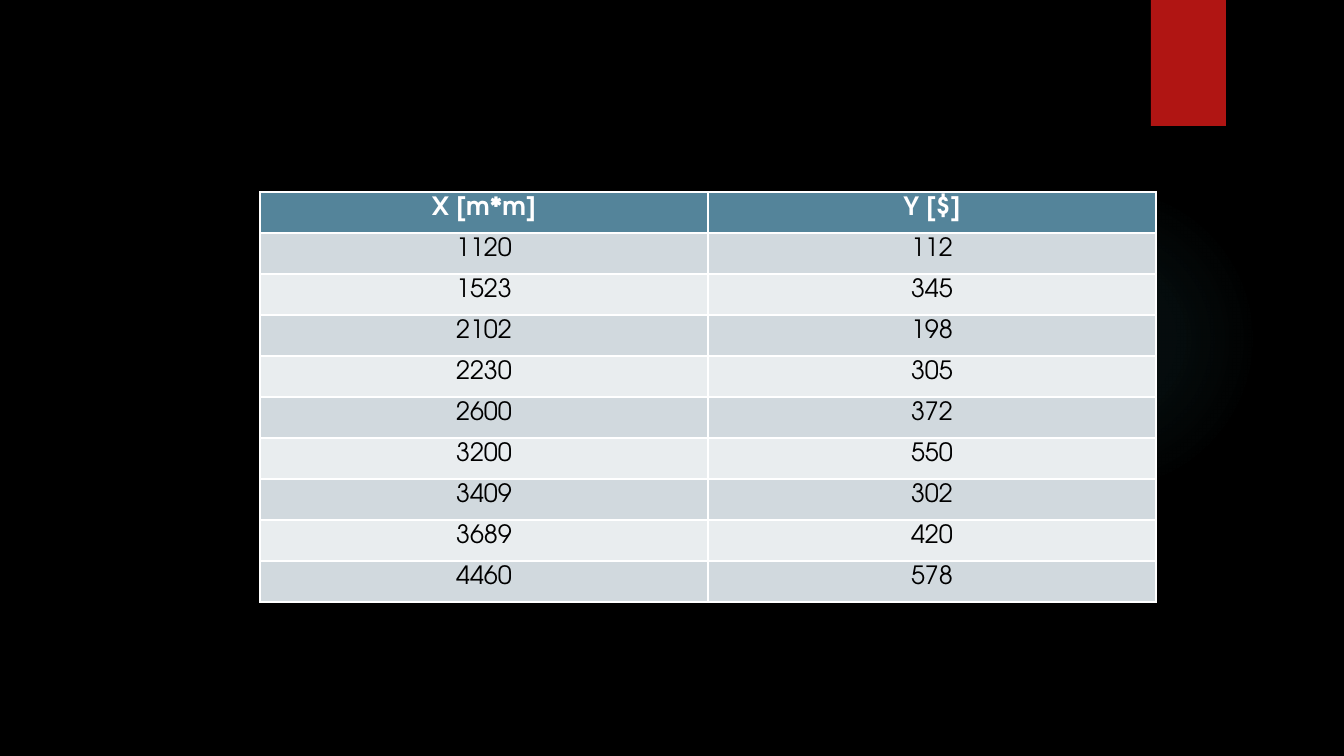
from lxml.etree import SubElement
from pptx import Presentation
from pptx.dml.color import RGBColor
from pptx.enum.shapes import MSO_SHAPE
from pptx.enum.text import MSO_ANCHOR, PP_ALIGN
from pptx.oxml.ns import qn
from pptx.util import Emu, Pt

EMU_PER_PX = 914400 / 100.8
FONT = "TeX Gyre Adventor"
BLACK, WHITE, RED, GLOW = "000000", "FFFFFF", "B01513", "50B9C1"
HEADER_FILL, BAND_FILLS = "54849A", ("D1D9DE", "E9EDEF")
GLOW_STOPS = ((0, 7), (36, 6), (69, 0))  # position %, opacity %

HEADINGS = ("X [m*m]", "Y [$]")
POINTS = (
    (1120, 112), (1523, 345), (2102, 198), (2230, 305), (2600, 372),
    (3200, 550), (3409, 302), (3689, 420), (4460, 578),
)


def px(length):
    return Emu(round(length * EMU_PER_PX))


def color(hex_value):
    return RGBColor.from_string(hex_value)


def apply(target, formats):
    for name, value in formats.items():
        setattr(target, name, value)


def add_plain_shape(slide, preset, box):
    shape = slide.shapes.add_shape(preset, *map(px, box))
    shape.shadow.inherit = False
    shape.line.fill.background()
    return shape


# Background glow and red tab
def add_glow(slide, box):
    glow = add_plain_shape(slide, MSO_SHAPE.OVAL, box)
    glow.fill.gradient()
    gradient = glow.fill._xPr.find(qn("a:gradFill"))
    for child in list(gradient):
        gradient.remove(child)
    stops = SubElement(gradient, qn("a:gsLst"))
    for position, opacity in GLOW_STOPS:
        stop = SubElement(stops, qn("a:gs"), pos=str(position * 1000))
        tint = SubElement(stop, qn("a:srgbClr"), val=GLOW)
        SubElement(tint, qn("a:alpha"), val=str(opacity * 1000))
    circle = SubElement(gradient, qn("a:path"), path="circle")
    center = dict.fromkeys("ltrb", "50000")
    SubElement(circle, qn("a:fillToRect"), **center)


def add_tab(slide, box):
    tab = add_plain_shape(slide, MSO_SHAPE.RECTANGLE, box)
    tab.fill.solid()
    tab.fill.fore_color.rgb = color(RED)


# Table of X and Y values; its white rules come from the table style
def format_cell(cell, row):
    is_header = row == 0
    cell.fill.solid()
    fill = HEADER_FILL if is_header else BAND_FILLS[(row - 1) % 2]
    cell.fill.fore_color.rgb = color(fill)
    apply(cell, {"margin_top": px(5), "margin_bottom": px(5),
                 "vertical_anchor": MSO_ANCHOR.TOP})
    paragraph = cell.text_frame.paragraphs[0]
    paragraph.alignment = PP_ALIGN.CENTER
    font = paragraph.runs[0].font
    apply(font, {"name": FONT, "size": Pt(18), "bold": is_header})
    font.color.rgb = color(WHITE if is_header else BLACK)


def add_value_table(slide, box):
    left, top, width, height = box
    records = (HEADINGS, *POINTS)
    table = slide.shapes.add_table(
        len(records), len(HEADINGS), *map(px, box)).table
    for column in table.columns:
        column.width = px(width / len(HEADINGS))
    for row, record in enumerate(records):
        table.rows[row].height = px(height / len(records))
        for column, value in enumerate(record):
            cell = table.cell(row, column)
            cell.text = str(value)
            format_cell(cell, row)


def add_data_slide(presentation):
    slide = presentation.slides.add_slide(presentation.slide_layouts[6])
    slide.background.fill.solid()
    slide.background.fill.fore_color.rgb = color(BLACK)
    add_glow(slide, (948, 184, 310, 310))
    add_tab(slide, (1151, 0, 75, 126))
    add_value_table(slide, (260, 192, 896, 410))


def main():
    presentation = Presentation()
    apply(presentation, {"slide_width": px(1344), "slide_height": px(756)})
    add_data_slide(presentation)
    presentation.save("out.pptx")


if __name__ == "__main__":
    main()
